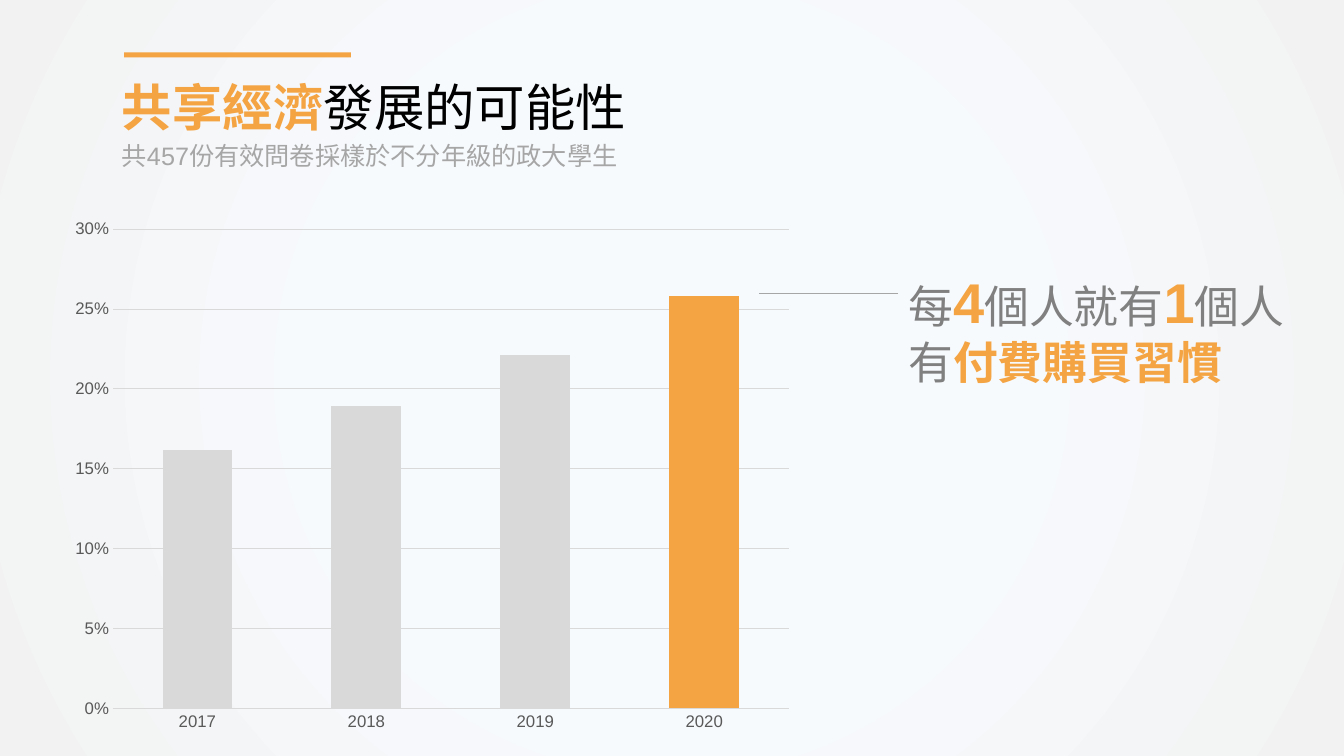
import pptx
import pptx.chart.data
import pptx.dml.color
import pptx.enum.chart
import pptx.enum.shapes
import pptx.enum.text
import pptx.oxml
import pptx.oxml.ns
import pptx.util

RGB = pptx.dml.color.RGBColor
ORANGE = RGB(0xF4, 0xA4, 0x42)
BLACK = RGB(0, 0, 0)
AXIS_GRAY = RGB(0x59, 0x59, 0x59)
TEXT_GRAY = RGB(0x80, 0x80, 0x80)
NOTE_GRAY = RGB(0xA6, 0xA6, 0xA6)
BAR_GRAY = RGB(0xD9, 0xD9, 0xD9)
CENTER_BLUE = RGB(0xF7, 0xFA, 0xFD)
EDGE_GRAY = RGB(0xF2, 0xF2, 0xF2)

FONT = "Arial"
WIDTH, HEIGHT = pptx.util.Inches(13.33), pptx.util.Inches(7.5)
COLUMNS, ROWS = 133.3, 75  # grid cells of a tenth of an inch


def grid(left, top, wide, high):
    """Turn grid columns and rows into slide lengths."""
    return (round(WIDTH * left / COLUMNS), round(HEIGHT * top / ROWS),
            round(WIDTH * wide / COLUMNS), round(HEIGHT * high / ROWS))


def apply_format(target, values):
    for name, value in values.items():
        setattr(target, name, value)


def format_font(font, size, color, bold=False):
    apply_format(font, {"name": FONT, "size": pptx.util.Pt(size), "bold": bold})
    font.color.rgb = color


def format_line(line, color, width):
    line.color.rgb = color
    line.width = pptx.util.Pt(width)


def write_lines(box, place, lines):
    """Place a box and fill it with lines of (text, size, color, bold) pieces."""
    apply_format(box, dict(zip(("left", "top", "width", "height"), place)))
    frame = box.text_frame
    apply_format(frame, {
        "word_wrap": True,
        "auto_size": pptx.enum.text.MSO_AUTO_SIZE.NONE,
        "vertical_anchor": pptx.enum.text.MSO_ANCHOR.TOP,
    })
    for index, pieces in enumerate(lines):
        paragraph = frame.add_paragraph() if index else frame.paragraphs[0]
        paragraph.alignment = pptx.enum.text.PP_ALIGN.LEFT
        for words, *style in pieces:
            run = paragraph.add_run()
            run.text = words
            format_font(run.font, *style)


def add_text(slide, place, lines):
    write_lines(slide.shapes.add_textbox(*place), place, lines)


def paint_background(slide):
    """Fill the slide with a circular gradient around its center."""
    fill = slide.background.fill
    fill.gradient()
    for stop, color, position in zip(fill.gradient_stops,
                                     (CENTER_BLUE, EDGE_GRAY), (0.42, 1)):
        stop.color.rgb = color
        stop.position = position
    qn = pptx.oxml.ns.qn
    gradient = slide.element.find(".//" + qn("a:gradFill"))
    circle = pptx.oxml.parse_xml(
        f'<a:path {pptx.oxml.ns.nsdecls("a")} path="circle">'
        '<a:fillToRect l="50000" t="50000" r="50000" b="50000"/></a:path>')
    gradient.replace(gradient.find(qn("a:lin")), circle)


def add_accent_bar(slide, place):
    bar = slide.shapes.add_shape(pptx.enum.shapes.MSO_SHAPE.RECTANGLE, *place)
    bar.shadow.inherit = False
    bar.fill.solid()
    bar.fill.fore_color.rgb = ORANGE
    bar.line.fill.background()


def add_leader(slide, place):
    left, top, wide, high = place
    leader = slide.shapes.add_connector(
        pptx.enum.shapes.MSO_CONNECTOR.STRAIGHT, left, top, left + wide, top + high)
    format_line(leader.line, NOTE_GRAY, 0.5)
    leader.element.spPr.append(pptx.oxml.parse_xml(
        f'<a:effectLst {pptx.oxml.ns.nsdecls("a")}/>'))


def add_share_chart(slide, place, shares, highlight):
    """Draw the yearly shares as columns, with one year in orange."""
    data = pptx.chart.data.CategoryChartData(number_format="0%")
    data.categories = list(shares)
    data.add_series("Series 1", list(shares.values()))
    chart = slide.shapes.add_chart(
        pptx.enum.chart.XL_CHART_TYPE.COLUMN_CLUSTERED, *place, data).chart
    apply_format(chart, {"has_legend": False, "has_title": False})
    format_font(chart.font, 10, BLACK)

    columns = chart.plots[0]
    apply_format(columns, {"gap_width": 142, "overlap": -3, "vary_by_categories": False})
    series = columns.series[0]
    year = series.points[list(shares).index(highlight)]
    for part, color in ((series, BAR_GRAY), (year, ORANGE)):
        part.format.fill.solid()
        part.format.fill.fore_color.rgb = color

    years, percents = chart.category_axis, chart.value_axis
    for axis in (years, percents):
        axis.major_tick_mark = pptx.enum.chart.XL_TICK_MARK.NONE
        format_font(axis.tick_labels.font, 12, AXIS_GRAY)
    apply_format(percents, {"minimum_scale": 0, "maximum_scale": 0.3,
                            "major_unit": 0.05, "has_major_gridlines": True})
    apply_format(percents.tick_labels, {"number_format": "0%",
                                        "number_format_is_linked": False})
    percents.format.line.fill.background()
    for line in (years.format.line, percents.major_gridlines.format.line):
        format_line(line, BAR_GRAY, 0.75)


def main():
    deck = pptx.Presentation()
    apply_format(deck, {"slide_width": WIDTH, "slide_height": HEIGHT})
    slide = deck.slides.add_slide(deck.slide_layouts.get_by_name("Title Only"))
    paint_background(slide)

    add_share_chart(slide, grid(6, 20.8, 73.7, 52.7),
                    {"2017": 0.162, "2018": 0.189, "2019": 0.221, "2020": 0.258},
                    highlight="2020")
    add_text(slide, grid(89.1, 26, 46.5, 13.1), [
        [("每", 32, TEXT_GRAY), ("4", 40, ORANGE, True), ("個人就有", 32, TEXT_GRAY),
         ("1", 40, ORANGE, True), ("個人", 32, TEXT_GRAY)],
        [("有", 32, TEXT_GRAY), ("付費購買習慣", 32, ORANGE, True)],
    ])
    add_leader(slide, grid(75.3, 29.1, 13.8, 0))
    write_lines(slide.shapes.title, grid(11.1, 7, 52.5, 7.1), [
        [("共享經濟", 36, ORANGE, True), ("發展的可能性", 36, BLACK)]])
    add_accent_bar(slide, grid(12.3, 5.2, 22.5, 0.5))
    add_text(slide, grid(11.1, 13.4, 51.7, 4), [
        [("共457份有效問卷採樣於不分年級的政大學生", 18, NOTE_GRAY)]])

    deck.save("out.pptx")


if __name__ == "__main__":
    main()
